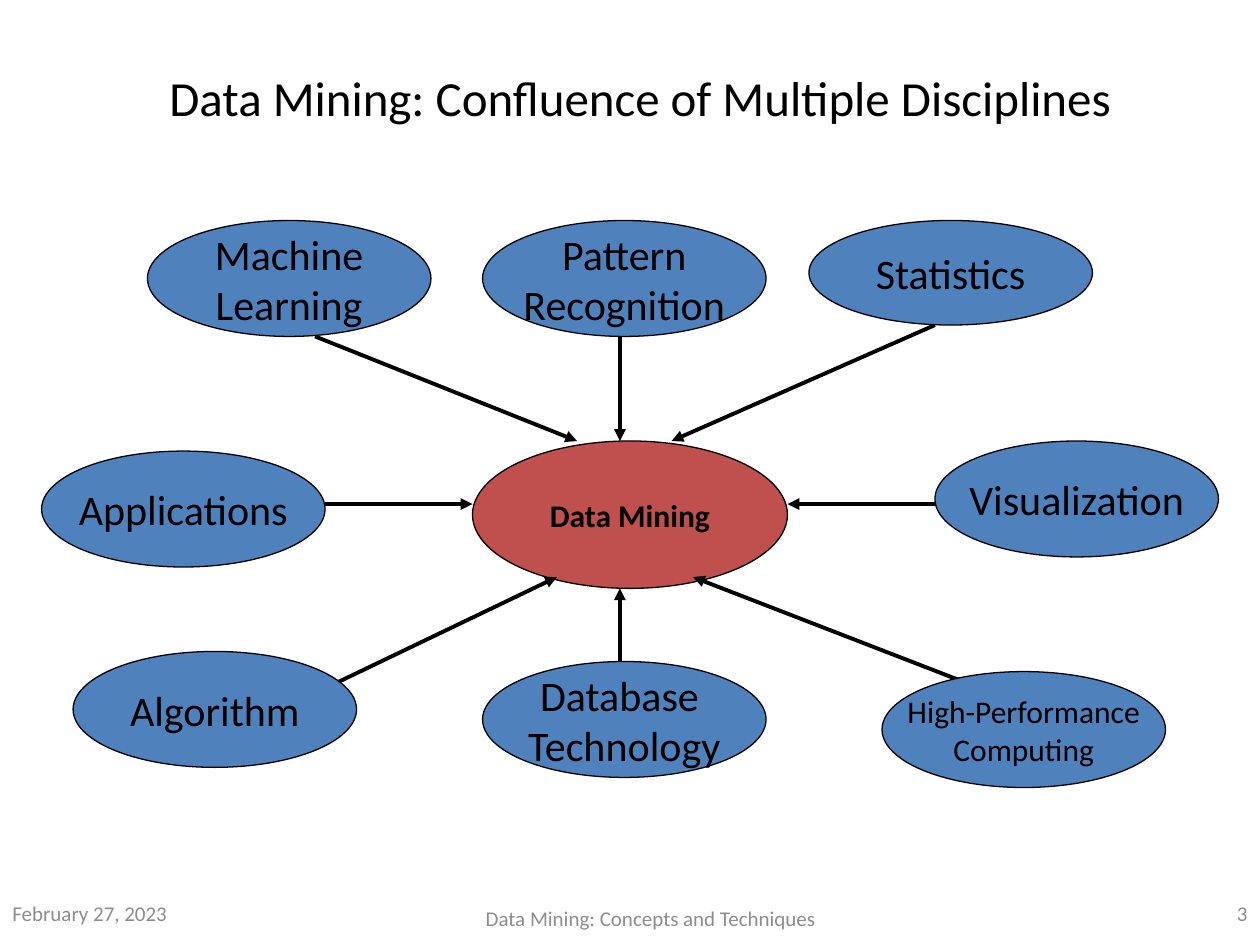
from lxml.etree import SubElement
from pptx import Presentation
from pptx.dml.color import RGBColor
from pptx.enum.shapes import MSO_CONNECTOR, MSO_SHAPE
from pptx.enum.text import MSO_ANCHOR, PP_ALIGN
from pptx.oxml.ns import qn
from pptx.util import Inches, Pt

BLACK, GRAY, BLUE, RED = "000000", "8C8C8C", "4F81BD", "C0504D"

DISCIPLINES = [
    ("Machine\nLearning", 0.84, 0, 0.92, 24),
    ("Statistics", 6.09, 0, 0.83, 24),
    ("Applications", 0, 1.83, 0.92, 24),
    ("Algorithm", 0.25, 3.42, 0.92, 24),
    ("Pattern\nRecognition", 3.5, 0, 0.92, 24),
    ("High-Performance\nComputing", 6.67, 3.58, 0.92, 18),
    ("Visualization", 7.09, 1.75, 0.92, 24),
    ("Database \nTechnology", 3.5, 3.5, 0.92, 24),
]

ARROWS = [
    (2.25, 2.25, 3.42, 2.25),
    (2.17, 0.92, 4.25, 1.75),
    (7.09, 0.83, 5, 1.75),
    (7.09, 2.25, 5.92, 2.25),
    (7.34, 3.67, 5.17, 2.83),
    (2.34, 3.67, 4.09, 2.83),
    (4.59, 3.83, 4.59, 2.92),
    (4.59, 0.92, 4.59, 1.75),
]


def color(hex_string):
    """Turn a hex string into a colour."""
    return RGBColor.from_string(hex_string)


def write(shape, text, size, hex_string, alignment, bold=False):
    """Set a shape's text and format it, centred vertically."""
    text_frame = shape.text_frame
    text_frame.text = text
    text_frame.vertical_anchor = MSO_ANCHOR.MIDDLE
    for paragraph in text_frame.paragraphs:
        paragraph.alignment = alignment
        for run in paragraph.runs:
            run.font.name = "Calibri"
            run.font.size = Pt(size)
            run.font.bold = bold
            run.font.color.rgb = color(hex_string)


def add_title(slide, text, left, top, width, height):
    """Move and format the title placeholder."""
    title = slide.shapes.title
    title.left, title.top = Inches(left), Inches(top)
    title.width, title.height = Inches(width), Inches(height)
    write(title, text, 28, BLACK, PP_ALIGN.CENTER)
    space = title.text_frame.paragraphs[0].add_run()
    space.text = " "
    space.font.size = Pt(32)


def add_ellipse(slide, text, left, top, width, height, fill, size, bold=False):
    """Add an outlined ellipse with a centred label."""
    ellipse = slide.shapes.add_shape(
        MSO_SHAPE.OVAL, Inches(left), Inches(top), Inches(width), Inches(height))
    ellipse.shadow.inherit = False
    ellipse.fill.solid()
    ellipse.fill.fore_color.rgb = color(fill)
    ellipse.line.color.rgb = color(BLACK)
    ellipse.line.width = Pt(0.75)
    write(ellipse, text, size, BLACK, PP_ALIGN.CENTER, bold)
    ellipse.text_frame.word_wrap = False
    return ellipse


def add_arrow(slide, start_x, start_y, end_x, end_y):
    """Add a black line with a triangle at its end."""
    arrow = slide.shapes.add_connector(
        MSO_CONNECTOR.STRAIGHT, Inches(start_x), Inches(start_y),
        Inches(end_x), Inches(end_y))
    arrow.line.color.rgb = color(BLACK)
    arrow.line.width = Pt(2.25)
    SubElement(arrow.line._get_or_add_ln(), qn("a:tailEnd"), type="triangle")
    SubElement(arrow._element.spPr, qn("a:effectLst"))


def add_diagram(slide, left, top):
    """Place the central topic, its arrows and the surrounding disciplines."""
    add_ellipse(slide, "Data Mining", left + 3.42, top + 1.75, 2.5, 1.17,
                RED, 18, bold=True)
    for start_x, start_y, end_x, end_y in ARROWS:
        add_arrow(slide, left + start_x, top + start_y, left + end_x, top + end_y)
    for text, x, y, height, size in DISCIPLINES:
        add_ellipse(slide, text, left + x, top + y, 2.25, height, BLUE, size)


def add_footer(slide, left, top, width, height):
    """Place the date, the footer text and the slide number in a strip."""
    parts = [
        ("February 27, 2023", 0, 0, 2.08, PP_ALIGN.LEFT),
        ("Data Mining: Concepts and Techniques", 3.58, 0.08, 3.17, PP_ALIGN.CENTER),
        ("3", width - 2.08, 0, 2.08, PP_ALIGN.RIGHT),
    ]
    for text, x, y, part_width, alignment in parts:
        box = slide.shapes.add_textbox(
            Inches(left + x), Inches(top + y), Inches(part_width), Inches(height - y))
        write(box, text, 12, GRAY, alignment)
        box.text_frame.word_wrap = True


def main():
    """Build and save the presentation."""
    presentation = Presentation()
    presentation.slide_width, presentation.slide_height = Inches(10), Inches(7.5)
    slide = presentation.slides.add_slide(presentation.slide_layouts[5])
    add_footer(slide, 0, 7, 10, 0.5)
    add_title(slide, "Data Mining: Confluence of Multiple Disciplines",
              0.42, 0.33, 9.42, 0.83)
    add_diagram(slide, 0.33, 1.75)
    presentation.save("out.pptx")


if __name__ == "__main__":
    main()
